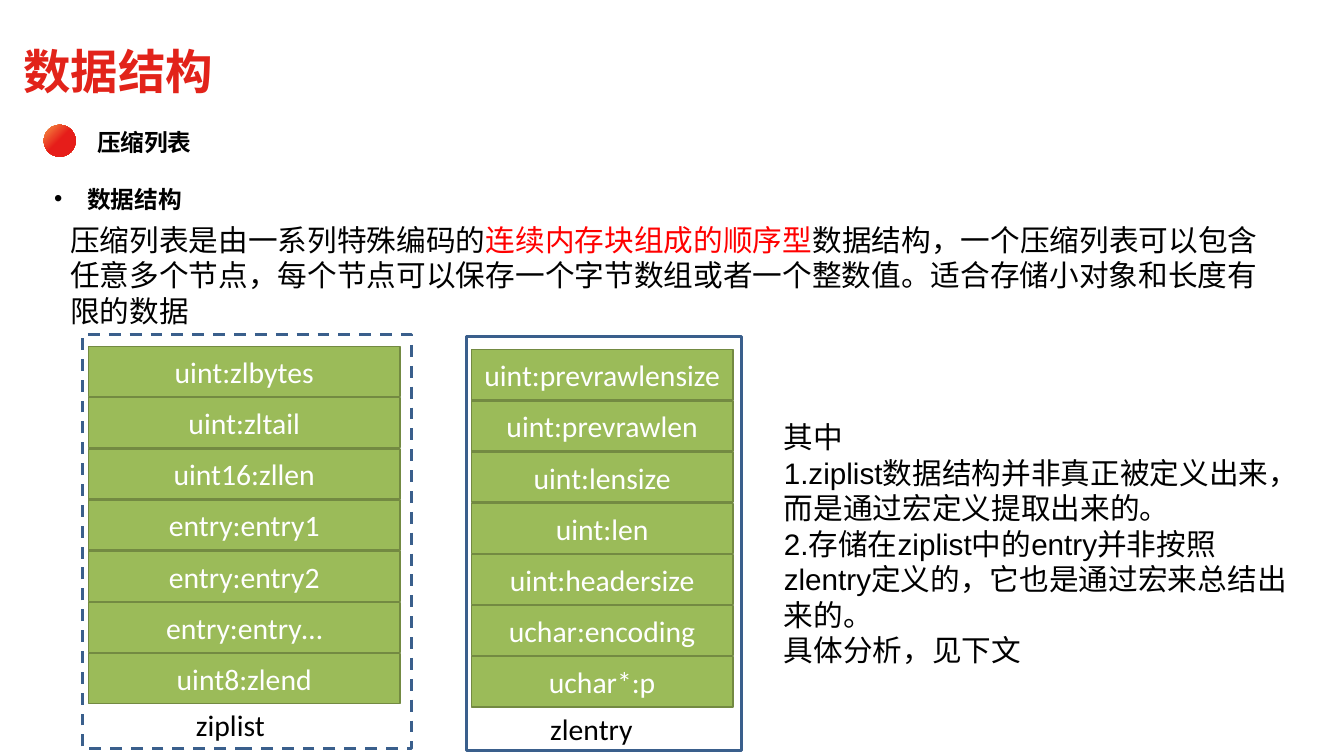
"""Build the slide on the compressed list (ziplist) data structure."""
import pptx
import pptx.util
import pptx.dml.color
import pptx.enum.dml
import pptx.enum.shapes
import pptx.enum.text
import pptx.oxml
import pptx.oxml.ns
from pptx.util import Inches

COLORS = {
    "title": "E2231A", "highlight": "FF0000", "text": "000000", "white": "FFFFFF",
    "field": "9BBB59", "field_line": "738A42", "frame": "3A5F8C",
    "badge_start": "F79646", "badge_end": "E61D1A",
}
HEADING_FONT = "Noto Sans CJK SC"
ALIGN = pptx.enum.text.PP_ALIGN
ANCHOR = pptx.enum.text.MSO_ANCHOR
SHAPE = pptx.enum.shapes.MSO_SHAPE


def rgb(name):
    """Return the named colour."""
    return pptx.dml.color.RGBColor.from_string(COLORS[name])


def write(paragraph, text, size, font, color="text", bold=False):
    """Add one formatted run to a paragraph."""
    run = paragraph.add_run()
    run.text = text
    formats = {"size": pptx.util.Pt(size), "name": font, "bold": bold}
    for attribute, value in formats.items():
        setattr(run.font, attribute, value)
    run.font.color.rgb = rgb(color)
    east_asian = pptx.oxml.parse_xml(
        f'<a:ea {pptx.oxml.ns.nsdecls("a")} typeface="{HEADING_FONT}"/>')
    run.font._element.find(pptx.oxml.ns.qn("a:latin")).addnext(east_asian)


deck = pptx.Presentation()
deck.slide_width, deck.slide_height = Inches(12.6), Inches(7.09)
slide = deck.slides.add_slide(deck.slide_layouts[5])

title = slide.shapes.title
title_format = {"left": 0.12, "top": 0.31, "width": 2.76, "height": 0.71}
for attribute, value in title_format.items():
    setattr(title, attribute, Inches(value))
title.text_frame.vertical_anchor = ANCHOR.MIDDLE
title_line = title.text_frame.paragraphs[0]
title_line.alignment = ALIGN.LEFT
write(title_line, "数据结构", 32, HEADING_FONT, "title", True)

badge = slide.shapes.add_shape(
    SHAPE.OVAL, Inches(0.41), Inches(1.17), Inches(0.3), Inches(0.3))
badge.shadow.inherit = False
badge.line.fill.background()
badge.fill.gradient()
badge.fill.gradient_angle = 315
for stop, color, position in zip(
        badge.fill.gradient_stops, ("badge_start", "badge_end"), (0, 0.5)):
    stop.color.rgb = rgb(color)
    stop.position = position

tick_points = [(0.53, 1.4), (0.46, 1.33), (0.49, 1.3), (0.53, 1.34), (0.63, 1.25), (0.66, 1.27)]
tick_outline = slide.shapes.build_freeform(*tick_points[0], scale=Inches(1))
tick_outline.add_line_segments(tick_points[1:], close=True)
tick = tick_outline.convert_to_shape()
tick.shadow.inherit = False
tick.fill.solid()
tick.fill.fore_color.rgb = rgb("white")
tick.line.fill.background()

topic = slide.shapes.add_textbox(Inches(0.71), Inches(1.1), Inches(1.3), Inches(0.47))
topic_format = {
    "margin_left": Inches(0.2), "margin_right": Inches(0.2),
    "margin_top": Inches(0.1), "margin_bottom": Inches(0.1), "word_wrap": False,
    "auto_size": pptx.enum.text.MSO_AUTO_SIZE.SHAPE_TO_FIT_TEXT,
}
for attribute, value in topic_format.items():
    setattr(topic.text_frame, attribute, value)
write(topic.text_frame.paragraphs[0], "压缩列表", 16, HEADING_FONT, bold=True)

section = slide.shapes.add_textbox(Inches(0.41), Inches(1.68), Inches(1.42), Inches(0.37))
section.text_frame.word_wrap = False
section.text_frame.auto_size = pptx.enum.text.MSO_AUTO_SIZE.SHAPE_TO_FIT_TEXT
section_line = section.text_frame.paragraphs[0]
section_properties = section_line._p.get_or_add_pPr()
section_properties.set("marL", str(Inches(0.31)))
section_properties.set("indent", str(Inches(-0.31)))
for bullet in ('<a:buFont {} typeface="Arial"/>', '<a:buChar {} char="•"/>'):
    section_properties.append(
        pptx.oxml.parse_xml(bullet.format(pptx.oxml.ns.nsdecls("a"))))
write(section_line, "数据结构", 16, HEADING_FONT, bold=True)

definition = [[
    ("压缩列表是由一系列特殊编码的", "text"),
    ("连续内存块组成的顺序型", "highlight"),
    ("数据结构，一个压缩列表可以包含任意多个节点，每个节点可以保存一个字节数组"
     "或者一个整数值。适合存储小对象和长度有限的数据", "text"),
]]
remarks = [
    [("其中", "text")],
    [("1.ziplist数据结构并非真正被定义出来，而是通过宏定义提取出来的。", "text")],
    [("2.存储在ziplist中的entry并非按照zlentry定义的，它也是通过宏来总结出来的。", "text")],
    [("具体分析，见下文", "text")],
]
for bounds, paragraphs in (
        ((0.56, 2.03, 11.53, 1.11), definition),
        ((7.25, 3.88, 5.04, 2.46), remarks)):
    prose = slide.shapes.add_textbox(*map(Inches, bounds)).text_frame
    prose.word_wrap = True
    for index, parts in enumerate(paragraphs):
        line = prose.add_paragraph() if index else prose.paragraphs[0]
        for text, color in parts:
            write(line, text, 20, "Arial", color)

FIELD_HEIGHT, FIELD_PITCH = 0.47, 0.48
structures = [
    {"name": "zlentry", "frame": (4.37, 3.16, 2.58, 3.88), "dash": None,
     "left": 4.42, "top": 3.28, "width": 2.45, "caption_left": 4.32,
     "fields": ["uint:prevrawlensize", "uint:prevrawlen", "uint:lensize", "uint:len",
                "uint:headersize", "uchar:encoding", "uchar*:p"]},
    {"name": "ziplist", "frame": (0.77, 3.14, 3.09, 3.88),
     "dash": pptx.enum.dml.MSO_LINE.DASH,
     "left": 0.83, "top": 3.25, "width": 2.92, "caption_left": 0.7,
     "fields": ["uint:zlbytes", "uint:zltail", "uint16:zllen", "entry:entry1",
                "entry:entry2", "entry:entry…", "uint8:zlend"]},
]
for structure in structures:
    group = slide.shapes.add_group_shape().shapes
    frame = group.add_shape(SHAPE.RECTANGLE, *map(Inches, structure["frame"]))
    frame.shadow.inherit = False
    frame.fill.background()
    frame.line.color.rgb = rgb("frame")
    frame.line.width = pptx.util.Pt(2)
    frame.line.dash_style = structure["dash"]

    caption = group.add_textbox(
        Inches(structure["caption_left"]), Inches(structure["top"] + 3.21),
        Inches(structure["width"]), Inches(0.68)).text_frame
    caption.word_wrap = True
    caption.vertical_anchor = ANCHOR.MIDDLE
    caption.paragraphs[0].alignment = ALIGN.CENTER
    write(caption.paragraphs[0], structure["name"], 20, "Calibri")

    for row, label in enumerate(structure["fields"]):
        field = group.add_shape(
            SHAPE.RECTANGLE, Inches(structure["left"]),
            Inches(structure["top"] + row * FIELD_PITCH),
            Inches(structure["width"]), Inches(FIELD_HEIGHT))
        field.shadow.inherit = False
        field.fill.solid()
        field.fill.fore_color.rgb = rgb("field")
        field.line.color.rgb = rgb("field_line")
        field.line.width = pptx.util.Pt(1)
        field.text_frame.vertical_anchor = ANCHOR.MIDDLE
        field.text_frame.paragraphs[0].alignment = ALIGN.CENTER
        write(field.text_frame.paragraphs[0], label, 20, "Calibri", "white")

deck.save("out.pptx")
